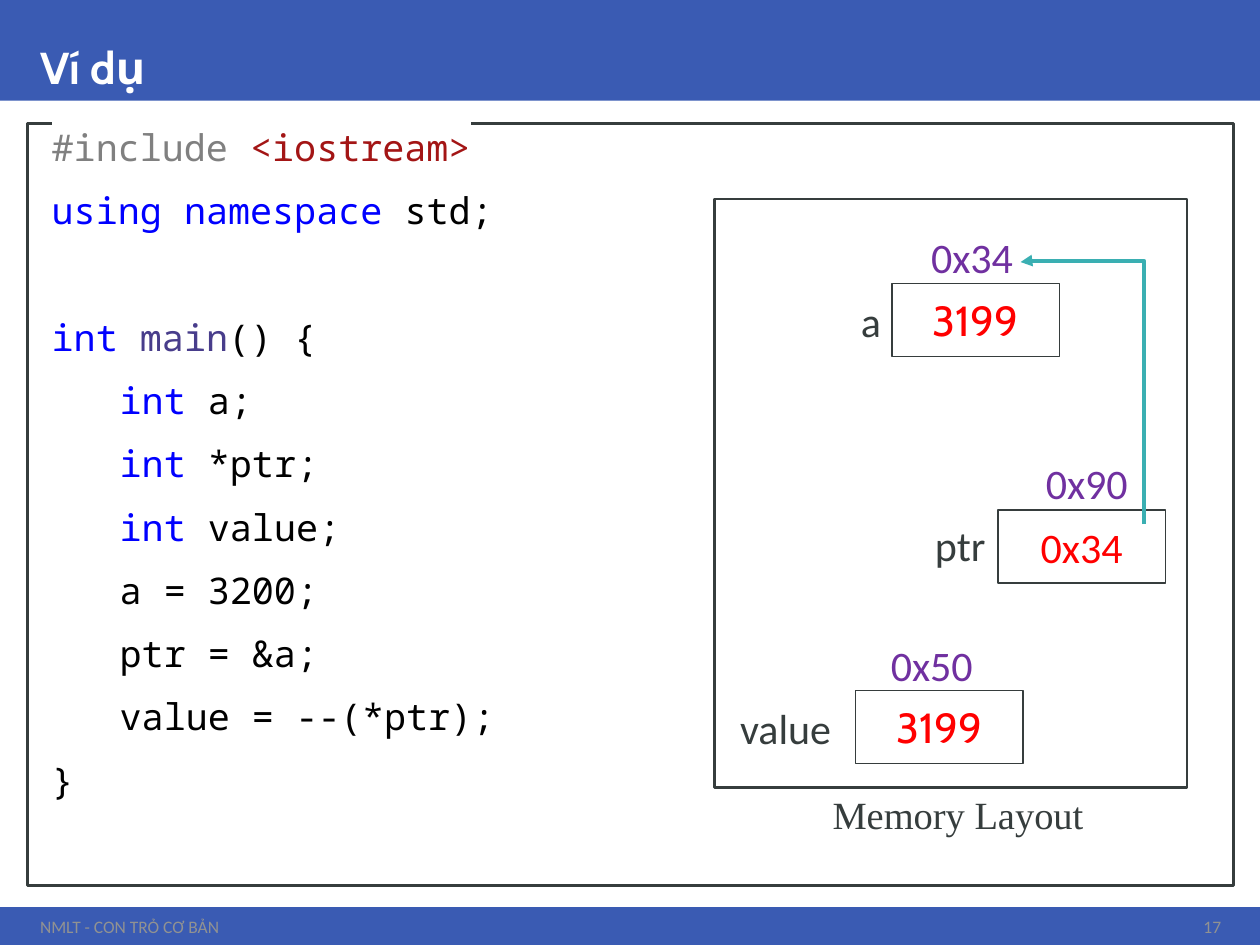
from lxml.etree import SubElement
from pptx import Presentation
from pptx.dml.color import RGBColor
from pptx.enum.shapes import MSO_CONNECTOR, MSO_SHAPE
from pptx.enum.text import MSO_ANCHOR, MSO_AUTO_SIZE, PP_ALIGN
from pptx.oxml.ns import qn
from pptx.util import Inches, Pt

# Content
BLUE, INK, WHITE, GREY = "3A5BB3", "363D3D", "FFFFFF", "919292"
RED, PURPLE, TEAL = "FF0000", "7030A0", "3AAFB2"
KEYWORD, PLAIN = "0000FF", "000000"
LEFT, CENTER, RIGHT = PP_ALIGN.LEFT, PP_ALIGN.CENTER, PP_ALIGN.RIGHT

TITLE = "Ví dụ"
FOOTER, NUMBER = "NMLT - CON TRỎ CƠ BẢN", "17"
CAPTION = "Memory Layout"

# Code lines: indent, space before, coloured runs
OUTER, INNER, GAP, BLANK_LINE = 0.09, 0.63, 13.5, 49.5
CODE = [
    (OUTER, 0, [("#include", "808080"), (" ", PLAIN), ("<iostream>", "A31515")]),
    (OUTER, GAP, [("using", KEYWORD), (" ", PLAIN), ("namespace", KEYWORD), (" std;", PLAIN)]),
    (OUTER, BLANK_LINE, [("int", KEYWORD), (" ", PLAIN), ("main", "483D8B"), ("() {", PLAIN)]),
    (INNER, GAP, [("int", KEYWORD), (" a;", PLAIN)]),
    (INNER, GAP, [("int", KEYWORD), (" *ptr;", PLAIN)]),
    (INNER, GAP, [("int", KEYWORD), (" value;", PLAIN)]),
    (INNER, GAP, [("a = 3200;", PLAIN)]),
    (INNER, GAP, [("ptr = &a;", PLAIN)]),
    (INNER, GAP, [("value = --(*ptr);", PLAIN)]),
    (OUTER, GAP, [("}", PLAIN)]),
]

# Variables: name, alignment, name position; address, its position; value, font, cell position
VARIABLES = [
    ("a", RIGHT, (5.68, 2.38), "0x34", (7.01, 1.87), "3199", "Cabin", (7.08, 2.25)),
    ("ptr", RIGHT, (6.51, 4.16), "0x90", (7.92, 3.67), "0x34", "Calibri", (7.92, 4.05)),
    ("value", CENTER, (5.53, 5.61), "0x50", (6.69, 5.11), "3199", "Cabin", (6.79, 5.48)),
]
CELL, LABEL = (1.33, 0.58), (1.41, 0.33)


def rgb(color):
    return RGBColor.from_string(color)


def add_run(p, text, size=24, font="Calibri", color=INK, bold=False, highlight=None):
    r = p.add_run()
    r.text = text
    r.font.size, r.font.bold = Pt(size), bold
    r.font.color.rgb = rgb(color)
    if highlight:
        mark = SubElement(r.font._element, qn("a:highlight"))
        SubElement(mark, qn("a:srgbClr")).set("val", highlight)
    r.font.name = font


def write(sp, text, align=LEFT, anchor=MSO_ANCHOR.MIDDLE, wrap=True, **style):
    tf = sp.text_frame
    tf.word_wrap, tf.vertical_anchor = wrap, anchor
    p = tf.paragraphs[0]
    p.alignment = align
    add_run(p, text, **style)
    return p


def add_text(s, at, text, **style):
    sp = s.shapes.add_textbox(*map(Inches, at))
    write(sp, text, **style)
    return sp


def add_rect(s, at, fill, line=None, width=1):
    sp = s.shapes.add_shape(MSO_SHAPE.RECTANGLE, *map(Inches, at))
    sp.shadow.inherit = False
    sp.fill.solid()
    sp.fill.fore_color.rgb = rgb(fill)
    if line:
        sp.line.color.rgb = rgb(line)
        sp.line.width = Pt(width)
    else:
        sp.line.fill.background()
    return sp


def place(sp, at):
    sp.left, sp.top, sp.width, sp.height = map(Inches, at)


prs = Presentation()
prs.slide_width, prs.slide_height = Inches(10), Inches(7.5)
s = prs.slides.add_slide(prs.slide_layouts[1])

# Header and footer bars, behind the placeholders
for top, height in [(0, 0.8), (7.2, 0.3)]:
    bar = add_rect(s, (0, top, 10, height), BLUE)
    s.shapes.element.insert(2, bar._element)

# Title
title = s.shapes.title
place(title, (0.22, 0, 9.57, 0.8))
title.text_frame.auto_size = MSO_AUTO_SIZE.NONE
p = write(title, TITLE, anchor=MSO_ANCHOR.BOTTOM, size=25.5, font="Cabin", color=WHITE, bold=True)
p.line_spacing = 0.9

# Code listing
body = s.placeholders[1]
place(body, (0.22, 0.98, 9.57, 6.05))
body.line.color.rgb = rgb(INK)
body.line.width = Pt(1.5)
tf = body.text_frame
tf.auto_size = MSO_AUTO_SIZE.NONE
for i, (indent, before, runs) in enumerate(CODE):
    p = tf.add_paragraph() if i else tf.paragraphs[0]
    p.line_spacing, p.space_before = 0.9, Pt(before)
    pPr = p._p.get_or_add_pPr()
    pPr.set("marL", str(Inches(indent)))
    pPr.set("indent", "0")
    SubElement(pPr, qn("a:buNone"))
    for text, color in runs:
        add_run(p, text, size=21, font="Noto Sans Mono", color=color, highlight=WHITE)

# Footer
add_text(s, (0.22, 7.22, 8.26, 0.26), FOOTER, size=10, color=GREY)
add_text(s, (9.26, 7.22, 0.53, 0.26), NUMBER, align=RIGHT, size=10, color=GREY)

# Memory diagram
add_rect(s, (5.67, 1.58, 3.75, 4.67), WHITE, INK, 1.5)
for name, align, name_at, address, address_at, value, font, cell_at in VARIABLES:
    cell = add_rect(s, cell_at + CELL, WHITE, INK)
    write(cell, value, align=CENTER, font=font, color=RED)
    add_text(s, name_at + LABEL, name, align=align)
    add_text(s, address_at + LABEL, address, align=CENTER, color=PURPLE)
add_text(s, (6.51, 6.23, 2.29, 0.47), CAPTION, anchor=MSO_ANCHOR.TOP, wrap=False,
         size=22, font="Times New Roman")

# Pointer arrow: an elbow turned to go up from ptr, then left to the address of a
arrow = s.shapes.add_connector(MSO_CONNECTOR.ELBOW, 0, 0, 0, 0)
place(arrow, (7.55, 2.63, 2.08, 0.98))
arrow.line.color.rgb = rgb(TEAL)
arrow.line.width = Pt(2.25)
spPr = arrow._element.spPr
xfrm = spPr.find(qn("a:xfrm"))
xfrm.set("rot", str(270 * 60000))
xfrm.set("flipV", "1")
geom = spPr.find(qn("a:prstGeom"))
guides = geom.find(qn("a:avLst"))
if guides is None:
    guides = SubElement(geom, qn("a:avLst"))
guide = SubElement(guides, qn("a:gd"))
guide.set("name", "adj1")
guide.set("fmla", "val 100500")
SubElement(spPr.find(qn("a:ln")), qn("a:tailEnd")).set("type", "triangle")
SubElement(spPr, qn("a:effectLst"))

prs.save("out.pptx")
